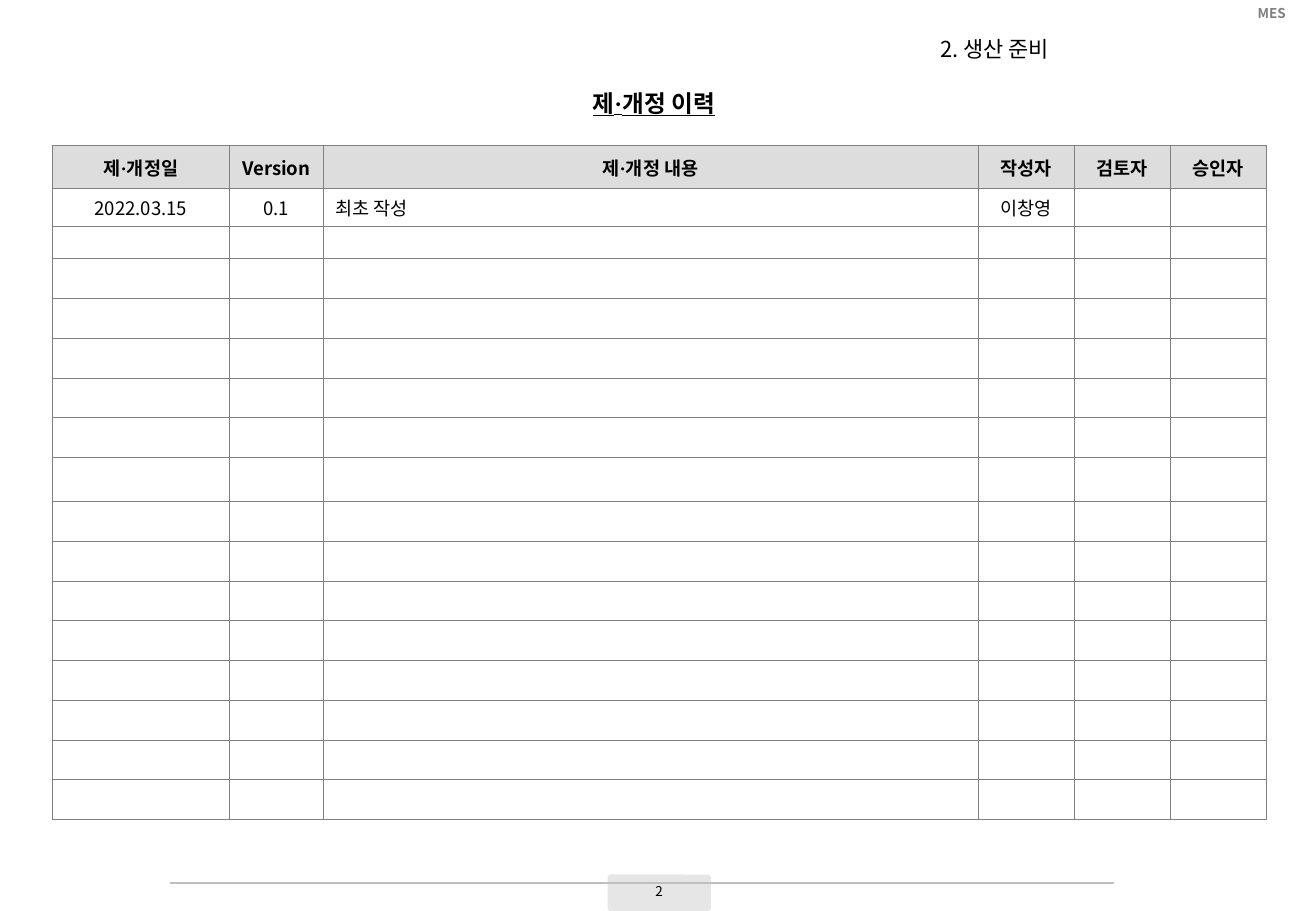
from lxml import etree
from pptx import Presentation
from pptx.dml.color import RGBColor
from pptx.enum.shapes import MSO_CONNECTOR, MSO_SHAPE
from pptx.enum.text import MSO_ANCHOR, PP_ALIGN
from pptx.oxml.ns import qn
from pptx.util import Inches, Pt

LEFT, MID, RIGHT = PP_ALIGN.LEFT, PP_ALIGN.CENTER, PP_ALIGN.RIGHT
CENTER = MSO_ANCHOR.MIDDLE
ROUND, LINE = MSO_SHAPE.ROUNDED_RECTANGLE, MSO_CONNECTOR.STRAIGHT
SANS, SERIF = "Noto Sans CJK KR", "Times New Roman"
COLORS = {"text": "000000", "grid": "808080", "head": "DDDDDD",
          "pill": "E6E6E6", "rule": "BFBFBF"}


def write(frame, text, size=11, color="text", bold=False, line=False,
          align=MID, gap=0):
    """Fill a text frame; "|" splits runs, and a lone dot is set in serif."""
    para = frame.paragraphs[0]
    para.alignment = align
    para.space_before = Pt(gap)
    for part in text.split("|"):
        run = para.add_run()
        run.text = part
        font = run.font
        font.size, font.bold, font.underline = Pt(size), bold, line
        font.color.rgb = RGBColor.from_string(COLORS[color])
        font.name = SERIF if part == "·" else SANS
        east = etree.SubElement(font._element, qn("a:ea"))
        east.set("typeface", font.name)


prs = Presentation()
prs.slide_width, prs.slide_height = Inches(10.83), Inches(7.5)
slide = prs.slides.add_slide(prs.slide_layouts[6])
shapes = slide.shapes

# Page number plate and footer rule
pill = shapes.add_shape(ROUND, Inches(5), Inches(7.2), Inches(0.85), Inches(0.3))
pill.adjustments[0] = 0.09
pill.shadow.inherit = False
pill.fill.solid()
pill.fill.fore_color.rgb = RGBColor.from_string(COLORS["pill"])
pill.line.fill.background()

rule = shapes.add_connector(LINE, Inches(9.17), Inches(7.27),
                            Inches(1.4), Inches(7.27))
rule.line.color.rgb = RGBColor.from_string(COLORS["rule"])
rule.line.width = Pt(0.75)
etree.SubElement(rule._element.spPr, qn("a:effectLst"))

# Header tag, page number, section title and heading
texts = [
    ("MES", (7.49, 0.04, 3.19, 0.13), 0,
     dict(size=8, color="grid", bold=True, align=RIGHT)),
    ("2", (5, 7.22, 0.85, 0.24), 0.05, dict(size=8)),
    ("2. 생산 준비", (7.64, 0.19, 3.19, 0.42), 0.05, dict(size=13, align=LEFT)),
    ("제|·|개정 이력", (1.99, 0.68, 6.78, 0.33), 0,
     dict(size=14, bold=True, line=True)),
]
for text, place, inset, form in texts:
    frame = shapes.add_textbox(*map(Inches, place)).text_frame
    frame.word_wrap = True
    frame.vertical_anchor = CENTER
    frame.margin_top = frame.margin_bottom = Inches(inset)
    write(frame, text, **form)

# Revision table: a few special rows, the rest share the height left over
HIGH = 5.55
cols = [1.46, 0.77, 5.39] + [0.79] * 3
fixed = {0: 0.35, 1: 0.31, 2: 0.27, 8: 0.36}
count = 17
share = (HIGH - sum(fixed.values())) / (count - len(fixed))
data = [
    ["제|·|개정일", "Version", "제|·|개정 내용", "작성자", "검토자", "승인자"],
    ["2022.03.15", "0.1", "최초 작성", "이창영", "", ""],
]
table = shapes.add_table(count, len(cols), Inches(0.43), Inches(1.2),
                         Inches(sum(cols)), Inches(HIGH)).table
for col, width in zip(table.columns, cols):
    col.width = Inches(width)

for r, row in enumerate(table.rows):
    row.height = Inches(fixed.get(r, share))
    for c, cell in enumerate(row.cells):
        cell.vertical_anchor = CENTER
        cell.margin_top = cell.margin_bottom = Inches(0.02)
        text = data[r][c] if r < len(data) else ""
        if text:
            write(cell.text_frame, text, bold=r == 0,
                  align=LEFT if (r, c) == (1, 2) else MID,
                  gap=0 if r == 0 and c in (1, 2) else 2.2)
        else:
            para = cell.text_frame.paragraphs[0]
            etree.SubElement(para._p, qn("a:endParaRPr")).set("sz", "800")

        # Borders go before the fill in the cell properties
        props = cell._tc.get_or_add_tcPr()
        for side in ("lnL", "lnR", "lnT", "lnB"):
            edge = etree.SubElement(props, qn("a:" + side), w=str(Pt(0.5)))
            paint = etree.SubElement(edge, qn("a:solidFill"))
            etree.SubElement(paint, qn("a:srgbClr"), val=COLORS["grid"])
        if r == 0:
            cell.fill.solid()
            cell.fill.fore_color.rgb = RGBColor.from_string(COLORS["head"])
        else:
            cell.fill.background()

prs.save("out.pptx")
